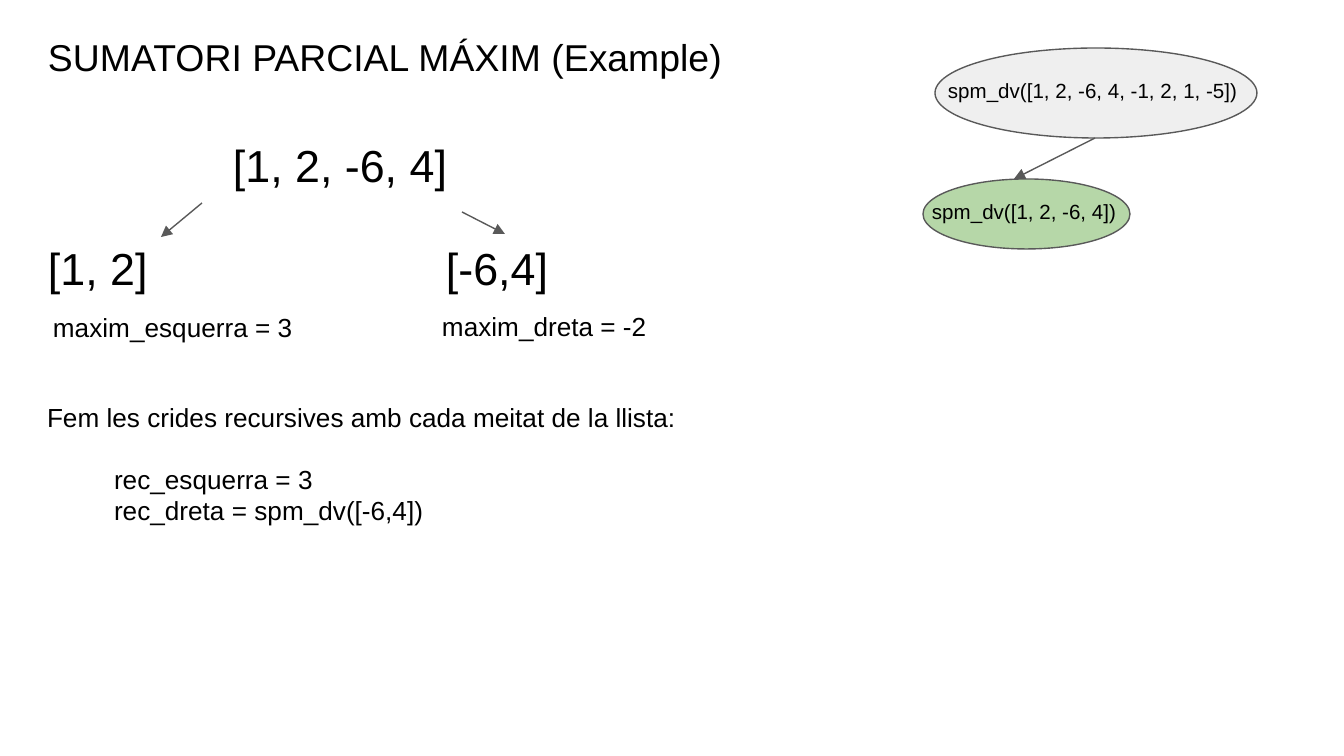
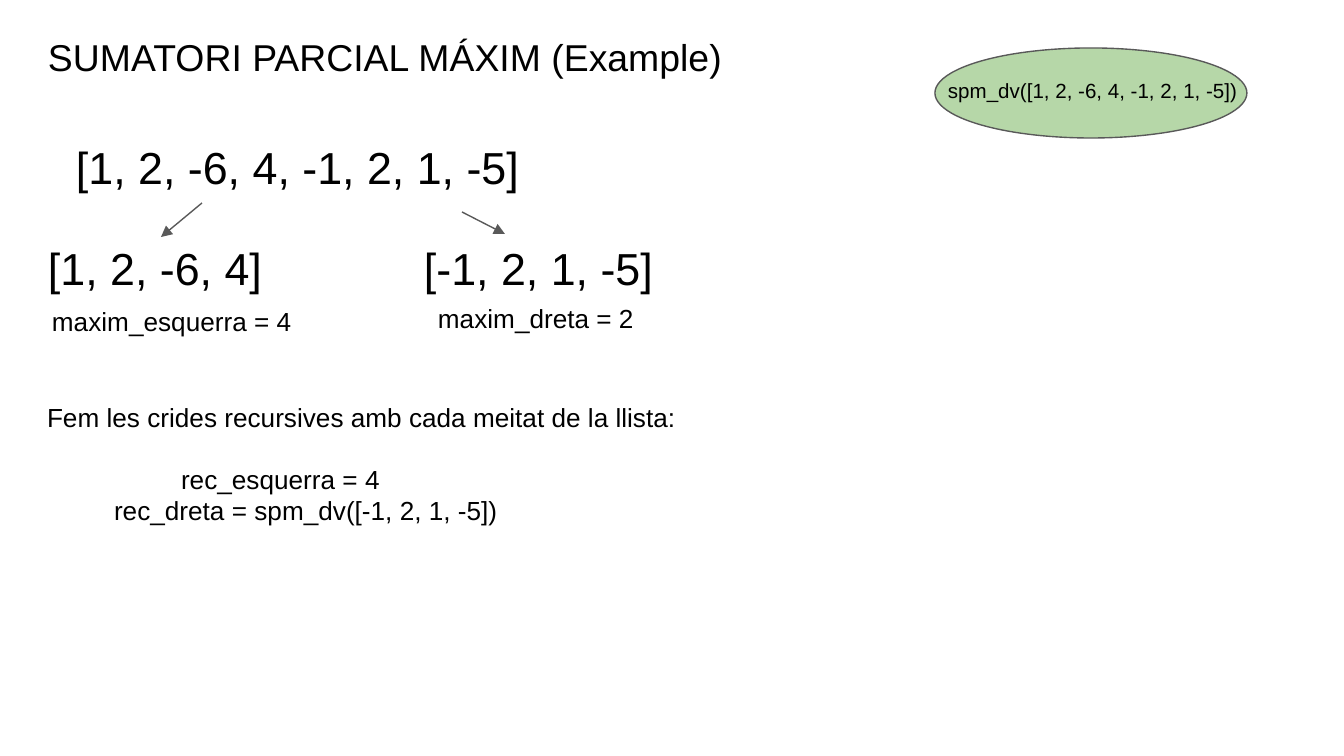
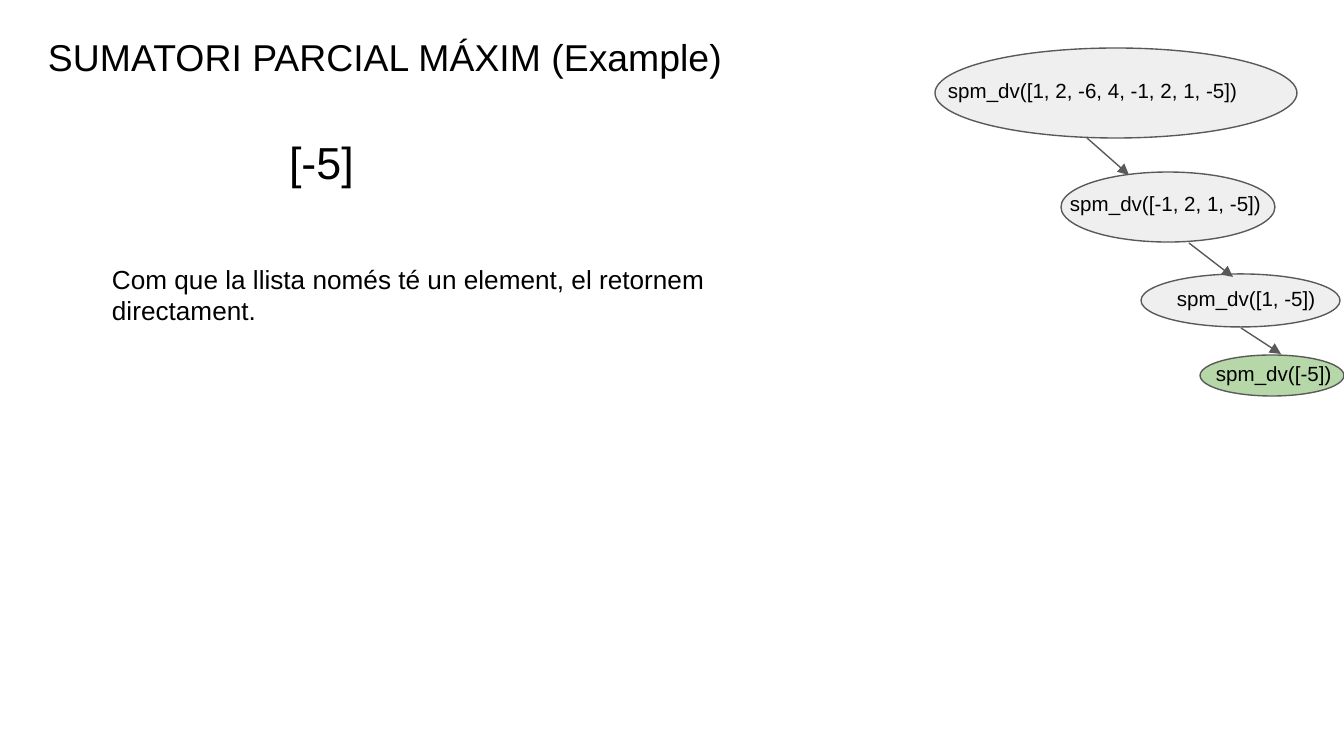
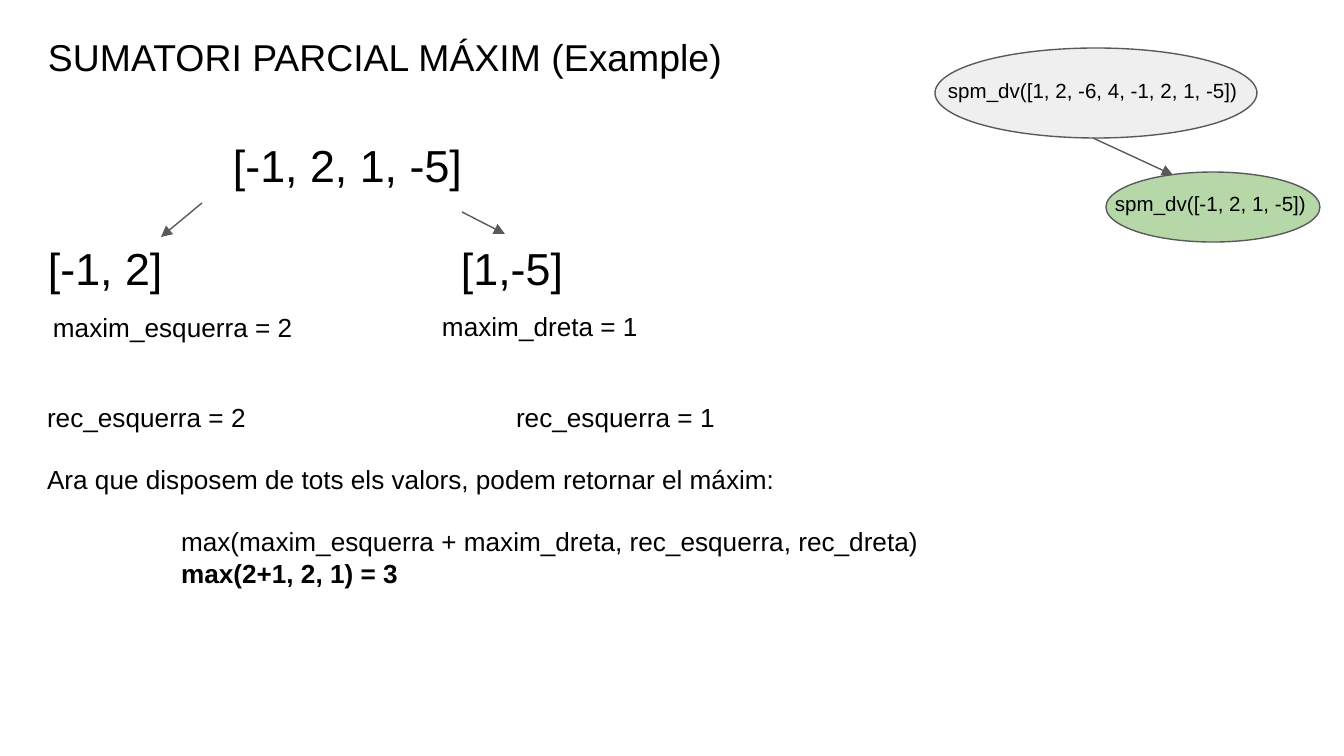
from dataclasses import dataclass

from pptx import Presentation
from pptx.dml.color import RGBColor
from pptx.enum.shapes import MSO_CONNECTOR, MSO_SHAPE
from pptx.oxml.ns import qn
from pptx.util import Emu, Pt
from lxml.etree import SubElement

EMU_PER_PX = 914400 / 134.4
SLIDE_SIZE = (1344, 756)
FONT = "Arial"
BLACK, OUTLINE = "000000", "595959"
VISITED, CURRENT = "EFEFEF", "B6D7A8"
TITLE_SIZE, LIST_SIZE, BODY_SIZE, CALL_SIZE = 20, 24, 14, 11
INSET = 13
LINE_GAP = 31
INDENT = 67

TITLE = "SUMATORI PARCIAL MÁXIM (Example)"
TITLE_BOX = (35, 21, 1118, 70)
SPLIT_BOX = (35, 125, 656, 404)
TREE_BOX = (935, 48, 409, 349)
STEPS_BOX = (34, 388, 684, 134)
FULL_CALL = "spm_dv([1, 2, -6, 4, -1, 2, 1, -5])"
RECURSION = "Fem les crides recursives amb cada meitat de la llista:"


@dataclass
class Line:
    text: str
    indent: int = 0
    tab: int = 0
    before: int = 0
    bold: bool = False


@dataclass
class Call:
    """An ellipse and the shift of its label, relative to the tree box."""
    text: str
    ellipse: tuple
    shift: tuple
    fill: str = VISITED


def px(length):
    return Emu(round(length * EMU_PER_PX))


def color(value):
    return RGBColor.from_string(value)


def inside(box, left, top, *size):
    return (box[0] + left, box[1] + top, *size)


def set_values(target, values):
    for name, value in values.items():
        setattr(target, name, value)


def add_text(page, box, lines, size):
    frame = page.shapes.add_textbox(*map(px, box)).text_frame
    margins = ("margin_left", "margin_top", "margin_right", "margin_bottom")
    set_values(frame, dict.fromkeys(margins, px(INSET)) | {"word_wrap": True})
    for number, line in enumerate(lines):
        para = frame.add_paragraph() if number else frame.paragraphs[0]
        properties = para._p.get_or_add_pPr()
        if line.indent:
            properties.set("marL", str(px(line.indent)))
            properties.set("indent", "0")
        if line.tab:
            stops = SubElement(properties, qn("a:tabLst"))
            SubElement(stops, qn("a:tab"), pos=str(px(line.tab)), algn="l")
        if line.before:
            para.space_before = px(line.before)
        span = para.add_run()
        span.text = line.text
        set_values(span.font, {"name": FONT, "size": Pt(size), "bold": line.bold})
        span.font.color.rgb = color(BLACK)


def add_arrow(page, start, end):
    arrow = page.shapes.add_connector(
        MSO_CONNECTOR.STRAIGHT, *map(px, (*start, *end)))
    arrow.line.color.rgb = color(OUTLINE)
    arrow.line.width = Pt(0.75)
    SubElement(arrow.line._get_or_add_ln(), qn("a:tailEnd"), type="triangle")
    SubElement(arrow._element.spPr, qn("a:effectLst"))


def add_call(page, box, call):
    left, top, width, height = call.ellipse
    place = inside(box, left, top, width, height)
    ellipse = page.shapes.add_shape(MSO_SHAPE.OVAL, *map(px, place))
    ellipse.shadow.inherit = False
    ellipse.fill.solid()
    ellipse.fill.fore_color.rgb = color(call.fill)
    ellipse.line.color.rgb = color(OUTLINE)
    ellipse.line.width = Pt(0.75)
    add_text(page, inside(place, *call.shift, 378, 44), [Line(call.text)], CALL_SIZE)


def call_tree(page, box, calls, arrows=()):
    for call in calls:
        add_call(page, box, call)
    for start, end in arrows:
        add_arrow(page, inside(box, *start), inside(box, *end))


def root_call(width, fill=VISITED):
    return Call(FULL_CALL, (0, 0, width, 90), (0, 18), fill)


def split_region(page, box, whole, halves, maxima, whole_at=(185, 0),
                 left_max_at=(5, 173), right_max_at=(394, 172)):
    """A list, its two halves and the best sum on each side of the cut."""
    add_text(page, inside(box, *whole_at, 594, 70), [Line(whole)], LIST_SIZE)
    add_text(page, inside(box, 0, 103, 656, 70), [halves], LIST_SIZE)
    left_max, right_max = maxima
    for place, text in ((left_max_at, f"maxim_esquerra = {left_max}"),
                        (right_max_at, f"maxim_dreta = {right_max}")):
        add_text(page, inside(box, *place, 352, 51), [Line(text)], BODY_SIZE)
    add_arrow(page, inside(box, 167, 78), inside(box, 126, 112))
    add_arrow(page, inside(box, 427, 87), inside(box, 470, 109))


def titled_page(deck):
    page = deck.slides.add_slide(deck.slide_layouts[6])
    add_text(page, TITLE_BOX, [Line(TITLE)], TITLE_SIZE)
    return page


def left_half_page(deck):
    page = titled_page(deck)
    split_region(page, SPLIT_BOX, "[1, 2, -6, 4]",
                 Line("[1, 2]\t[-6,4]", tab=398), (3, -2))
    call_tree(page, TREE_BOX, [
        root_call(322),
        Call("spm_dv([1, 2, -6, 4])", (-12, 131, 207, 70), (-4, 8), CURRENT),
    ], [((160, 90), (79, 131))])
    add_text(page, STEPS_BOX, [
        Line(RECURSION),
        Line("rec_esquerra = 3", INDENT, before=LINE_GAP),
        Line("rec_dreta = spm_dv([-6,4])", INDENT),
    ], BODY_SIZE)


def whole_list_page(deck):
    page = titled_page(deck)
    split_region(page, SPLIT_BOX, "[1, 2, -6, 4, -1, 2, 1, -5]",
                 Line("[1, 2, -6, 4]\t[-1, 2, 1, -5]", tab=376), (4, 2),
                 whole_at=(28, 2), left_max_at=(4, 167), right_max_at=(390, 164))
    call_tree(page, TREE_BOX, [root_call(312, CURRENT)])
    add_text(page, STEPS_BOX, [
        Line(RECURSION),
        Line("rec_esquerra = 4", 2 * INDENT, before=LINE_GAP),
        Line("rec_dreta = spm_dv([-1, 2, 1, -5])", INDENT),
    ], BODY_SIZE)


def single_element_page(deck):
    page = titled_page(deck)
    call_tree(page, TREE_BOX, [
        root_call(362),
        Call("spm_dv([-1, 2, 1, -5])", (126, 124, 214, 70), (-4, 7)),
        Call("spm_dv([1, -5])", (206, 226, 199, 53), (23, 0)),
        Call("spm_dv([-5])", (265, 307, 144, 41), (3, -6), CURRENT),
    ], [
        ((152, 90), (194, 127)),
        ((254, 195), (298, 229)),
        ((306, 280), (346, 306)),
    ])
    add_text(page, (276, 122, 235, 70), [Line("[-5]")], LIST_SIZE)
    add_text(page, (99, 250, 681, 70), [
        Line("Com que la llista només té un element, el retornem directament."),
    ], BODY_SIZE)


def right_half_page(deck):
    page = titled_page(deck)
    split_region(page, SPLIT_BOX, "[-1, 2, 1, -5]",
                 Line("[-1, 2]\t[1,-5]", tab=413), (2, 1))
    call_tree(page, TREE_BOX, [
        root_call(322),
        Call("spm_dv([-1, 2, 1, -5])", (171, 124, 214, 70), (-4, 7), CURRENT),
    ], [((158, 90), (238, 127))])
    add_text(page, inside(STEPS_BOX, 0, 0, 1005, 134), [
        Line("rec_esquerra = 2\trec_esquerra = 1", tab=469),
        Line("Ara que disposem de tots els valors, podem retornar el máxim:",
             before=LINE_GAP),
        Line("max(maxim_esquerra + maxim_dreta, rec_esquerra, rec_dreta)",
             2 * INDENT, before=LINE_GAP),
        Line("max(2+1, 2, 1) = 3", 2 * INDENT, bold=True),
    ], BODY_SIZE)


def main():
    deck = Presentation()
    deck.slide_width, deck.slide_height = map(px, SLIDE_SIZE)
    for build_page in (left_half_page, whole_list_page,
                       single_element_page, right_half_page):
        build_page(deck)
    deck.save("out.pptx")


if __name__ == "__main__":
    main()
